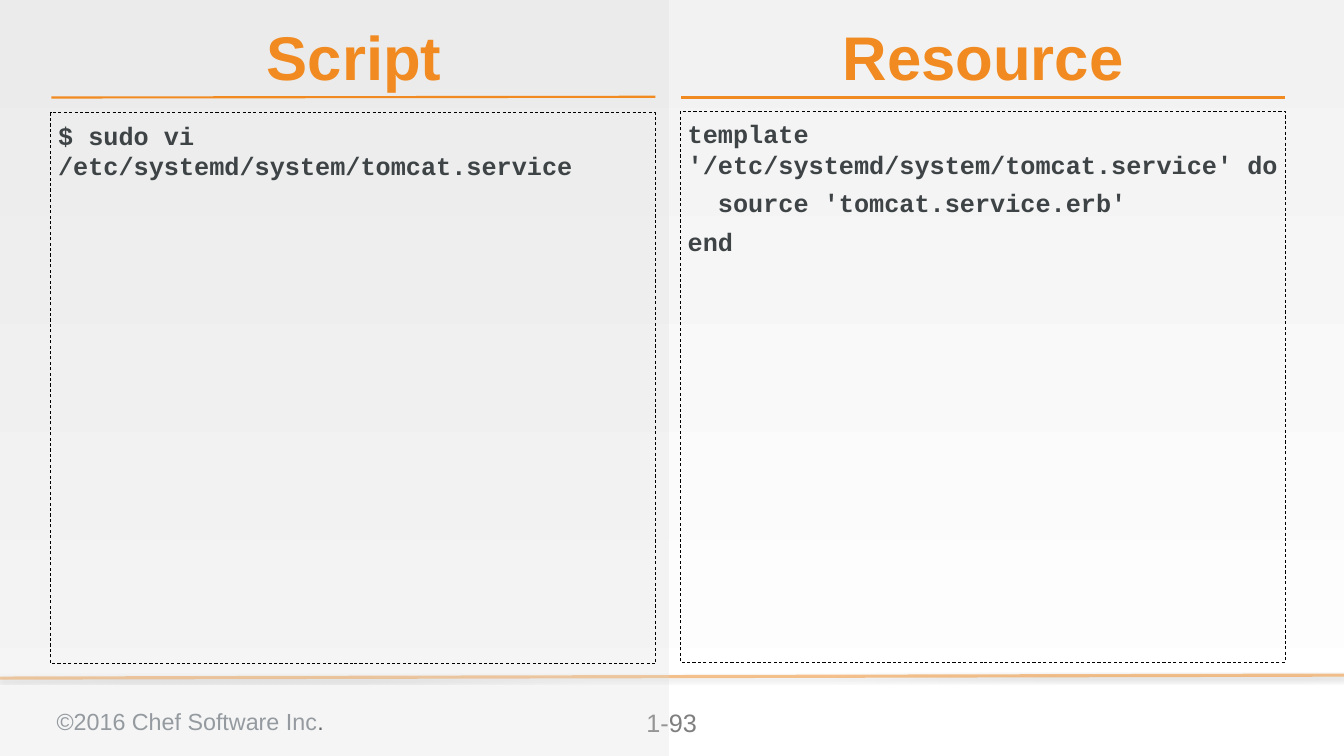
from lxml import etree
from pptx import Presentation
from pptx.dml.color import RGBColor
from pptx.enum.dml import MSO_LINE
from pptx.enum.shapes import MSO_CONNECTOR, MSO_SHAPE
from pptx.enum.text import MSO_ANCHOR, MSO_AUTO_SIZE, PP_ALIGN
from pptx.oxml.ns import qn
from pptx.util import Inches, Pt

LEFT, CENTER = PP_ALIGN.LEFT, PP_ALIGN.CENTER
TOP, MIDDLE = MSO_ANCHOR.TOP, MSO_ANCHOR.MIDDLE
RECTANGLE, STRAIGHT = MSO_SHAPE.RECTANGLE, MSO_CONNECTOR.STRAIGHT
DASH, NO_AUTOFIT = MSO_LINE.DASH, MSO_AUTO_SIZE.NONE
COLORS = {
    "accent": "F18B21", "code": "3E4346", "footer": "7D868C", "number": "7F7F7F",
    "band": "D9D9D9", "border": "000000", "sky": "F2F2F2", "ground": "FFFFFF",
}
PANEL_WIDTH = 8


def rgb(name):
    return RGBColor.from_string(COLORS[name])


def add_alpha(fill_parent, percent):
    color = next(fill_parent.iter(qn("a:srgbClr")))
    etree.SubElement(color, qn("a:alpha"), val=str(percent * 1000))


class ComparisonSlide:
    """Draws a two-column comparison of code on one slide."""

    def __init__(self, presentation):
        self.slide = presentation.slides.add_slide(presentation.slide_layouts[5])
        self.shapes = self.slide.shapes

    def background(self, start, end):
        fill = self.slide.background.fill
        fill.gradient()
        fill.gradient_angle = 270
        for stop, color, position in zip(fill.gradient_stops, (start, end), (0, 1)):
            stop.color.rgb = rgb(color)
            stop.position = position

    def band(self, width, height, alpha):
        band = self.shapes.add_shape(RECTANGLE, 0, 0, Inches(width), Inches(height))
        band.shadow.inherit = False
        band.fill.solid()
        band.fill.fore_color.rgb = rgb("band")
        add_alpha(band._element.spPr, alpha)
        band.line.fill.background()

    def rule(self, start, end, width, alpha=100, shadow=False):
        ends = [Inches(value) for value in (*start, *end)]
        rule = self.shapes.add_connector(STRAIGHT, *ends)
        rule.line.color.rgb = rgb("accent")
        rule.line.width = Pt(width)
        properties = rule._element.spPr
        if alpha < 100:
            add_alpha(properties, alpha)
        effects = etree.SubElement(properties, qn("a:effectLst"))
        if shadow:
            outer = etree.SubElement(
                effects, qn("a:outerShdw"), blurRad=str(Pt(3.1)), dist=str(Pt(1.8)),
                dir="5400000", rotWithShape="0")
            etree.SubElement(outer, qn("a:srgbClr"), val=COLORS["border"])
            add_alpha(outer, 35)

    def set_text(self, shape, lines, size, font="Arial", bold=False, align=LEFT,
                 anchor=TOP, insets=(0.1, 0.1, 0.1, 0.1)):
        frame = shape.text_frame
        frame.word_wrap = True
        frame.auto_size = NO_AUTOFIT
        frame.vertical_anchor = anchor
        (frame.margin_left, frame.margin_top,
         frame.margin_right, frame.margin_bottom) = map(Inches, insets)
        for index, line in enumerate(lines):
            paragraph = frame.add_paragraph() if index else frame.paragraphs[0]
            paragraph.alignment = align
            paragraph.space_before = Pt(8 if index else 0)
            for text, color in line:
                run = paragraph.add_run()
                run.text = text
                run.font.name = font
                run.font.size = Pt(size)
                run.font.bold = bold
                run.font.color.rgb = rgb(color)

    def label(self, box, runs, size, align=LEFT):
        self.set_text(self.shapes.add_textbox(*map(Inches, box)), [runs], size, align=align)

    def heading(self, text, left, top, is_title=False):
        box = [Inches(value) for value in (left, top, 8.07, 0.91)]
        if is_title:
            heading = self.shapes.title
            heading.left, heading.top, heading.width, heading.height = box
            self.shapes._spTree.append(heading._element)
        else:
            heading = self.shapes.add_textbox(*box)
        self.set_text(heading, [[(text, "accent")]], 58.7, bold=True, align=CENTER,
                      anchor=MIDDLE, insets=(0, 0, 0, 0))

    def code_panel(self, left, top, code):
        panel = self.shapes.add_shape(
            RECTANGLE, *map(Inches, (left, top, PANEL_WIDTH, 7.29)))
        panel.shadow.inherit = False
        panel.fill.background()
        panel.line.color.rgb = rgb("border")
        panel.line.width = Pt(0.75)
        panel.line.dash_style = DASH
        self.set_text(panel, [[(line, "code")] for line in code], 24, font="Courier New",
                      bold=True, insets=(0.1, 0.1, 0, 0))


def main():
    presentation = Presentation()
    presentation.slide_width, presentation.slide_height = Inches(17.78), Inches(10)
    page = ComparisonSlide(presentation)
    page.background("sky", "ground")
    page.rule((17.78, 8.93), (0, 8.97), 3, alpha=50, shadow=True)
    page.label((0.65, 9.25, 5.9, 0.52),
               [("©2016 Chef Software Inc", "footer"), (".", "code")], 22.2)
    page.label((8.1, 9.25, 1.57, 0.57), [("1-93", "number")], 24, CENTER)
    page.band(8.85, 10, 25)

    columns = [
        ("Script", 0.67, 1.49, 0.65, 0.29, 1.28,
         ["$ sudo vi /etc/systemd/system/tomcat.service"]),
        ("Resource", 9, 1.47, 8.97, 0.28, 1.29,
         ["template '/etc/systemd/system/tomcat.service' do",
          "  source 'tomcat.service.erb'",
          "end"]),
    ]
    for title, left, top, title_left, title_top, rule_end, code in columns:
        page.rule((left + 0.01, 1.29), (left + PANEL_WIDTH, rule_end), 2)
        page.code_panel(left, top, code)
        page.heading(title, title_left, title_top, is_title=title == "Script")
    presentation.save("out.pptx")


if __name__ == "__main__":
    main()
